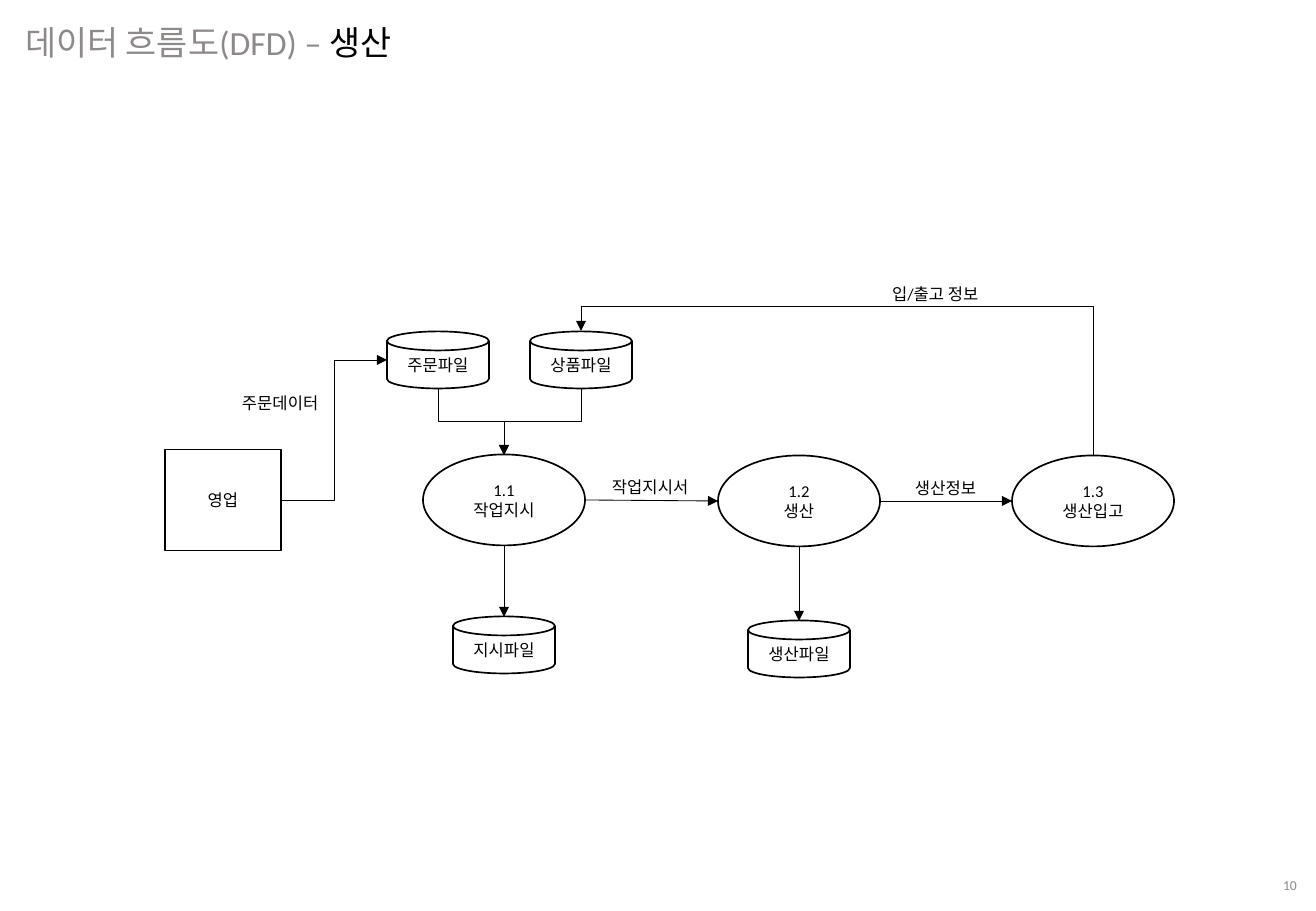
from pptx import Presentation
from pptx.dml.color import RGBColor
from pptx.enum.shapes import MSO_CONNECTOR as LINK, MSO_SHAPE as SHAPE
from pptx.enum.text import MSO_ANCHOR as ANCHOR, MSO_AUTO_SIZE as AUTO, PP_ALIGN as ALIGN
from pptx.oxml.ns import qn
from pptx.util import Emu, Pt
from lxml.etree import SubElement

BLACK = RGBColor(0x00, 0x00, 0x00)
WHITE = RGBColor(0xFF, 0xFF, 0xFF)
TITLE_GREY = RGBColor(0x8E, 0x8A, 0x8A)
NUMBER_GREY = RGBColor(0x8C, 0x8C, 0x8C)
SCALE = 914400 / 121.5
TITLE_ONLY = 5


def px(length):
    return Emu(round(length * SCALE))


class FlowPage:
    font = "Calibri"
    text_size = 9.8
    inset = 12
    sizes = {
        SHAPE.RECTANGLE: (116, 101),
        SHAPE.OVAL: (162, 91),
        SHAPE.FLOWCHART_MAGNETIC_DISK: (102, 57),
    }

    def __init__(self, deck):
        self.page = deck.slides.add_slide(deck.slide_layouts[TITLE_ONLY])

    def set_text(self, frame, lines, size, align, left=0, right=0):
        """Fill a frame; each line is a list of (text, colour) spans."""
        frame.word_wrap = True
        frame.auto_size = AUTO.NONE
        frame.vertical_anchor = ANCHOR.MIDDLE
        frame.margin_left, frame.margin_right = px(left), px(right)
        frame.margin_top = frame.margin_bottom = 0
        for number, spans in enumerate(lines):
            para = frame.add_paragraph() if number else frame.paragraphs[0]
            para.alignment = align
            for text, colour in spans:
                span = para.add_run()
                span.text = text
                span.font.name = self.font
                span.font.size = Pt(size)
                span.font.color.rgb = colour

    def title(self, spans, left, top, width, height):
        box = self.page.shapes.title
        box.left, box.top, box.width, box.height = map(px, (left, top, width, height))
        self.set_text(box.text_frame, [spans], 20, ALIGN.LEFT, self.inset, self.inset)

    def label(self, text, left, top, width):
        box = self.page.shapes.add_textbox(*map(px, (left, top, width, 33)))
        self.set_text(box.text_frame, [[(text, BLACK)]], self.text_size, ALIGN.LEFT, self.inset)

    def page_number(self, text, left, top, width, height):
        box = self.page.shapes.add_textbox(*map(px, (left, top, width, height)))
        self.set_text(box.text_frame, [[(text, NUMBER_GREY)]], 8.1, ALIGN.RIGHT, right=self.inset)

    def node(self, kind, x, y, *lines):
        """Draw a node centred on x, y."""
        width, height = self.sizes[kind]
        box = self.page.shapes.add_shape(
            kind, px(x - width / 2), px(y - height / 2), px(width), px(height))
        box.shadow.inherit = False
        box.fill.solid()
        box.fill.fore_color.rgb = WHITE
        box.line.color.rgb = BLACK
        box.line.width = Pt(1)
        self.set_text(box.text_frame, [[(line, BLACK)] for line in lines],
                      self.text_size, ALIGN.CENTER)

    def arrow(self, start, end, kind=LINK.STRAIGHT):
        link = self.page.shapes.add_connector(kind, *map(px, start + end))
        link.line.color.rgb = BLACK
        link.line.width = Pt(0.5)
        properties = link.element.spPr
        SubElement(properties.find(qn("a:ln")), qn("a:tailEnd"), type="triangle")
        SubElement(properties, qn("a:effectLst"))
        return link

    def upright_elbow(self, start, end, bend):
        """Elbow arrow that leaves vertically and turns at height bend."""
        (x1, y1), (x2, y2) = start, end
        link = self.arrow(start, end, LINK.ELBOW)
        width, height = abs(y2 - y1), abs(x2 - x1)
        link.left, link.top = px((x1 + x2 - width) / 2), px((y1 + y2 - height) / 2)
        link.width, link.height = px(width), px(height)
        properties = link.element.spPr
        frame = properties.find(qn("a:xfrm"))
        frame.attrib.pop("flipH", None)
        frame.set("rot", str((90 if y2 > y1 else 270) * 60000))
        frame.set("flipV", "1" if (x2 > x1) == (y2 > y1) else "0")
        guides = properties.find(qn("a:prstGeom")).get_or_add_avLst()
        share = round((bend - y1) / (y2 - y1) * 100000)
        SubElement(guides, qn("a:gd"), name="adj1", fmla=f"val {share}")


def main():
    deck = Presentation()
    deck.slide_width, deck.slide_height = px(1316), px(911)
    flow = FlowPage(deck)
    flow.title([("데이터 흐름도(DFD) – ", TITLE_GREY), ("생산", BLACK)], 13, 15, 539, 54)

    flow.node(SHAPE.RECTANGLE, 223, 500, "영업")
    for x, y, name in [(438, 360, "주문파일"), (581, 360, "상품파일"),
                       (504, 645, "지시파일"), (799, 649, "생산파일")]:
        flow.node(SHAPE.FLOWCHART_MAGNETIC_DISK, x, y, name)
    for x, y, number, name in [(504, 500, "1.1", "작업지시"), (799, 501, "1.2", "생산"),
                               (1093, 501, "1.3", "생산입고")]:
        flow.node(SHAPE.OVAL, x, y, number, name)

    for start, end in [((504, 546), (504, 617)), ((799, 547), (799, 621)),
                       ((585, 500), (718, 501)), ((880, 501), (1012, 501))]:
        flow.arrow(start, end)
    flow.arrow((281, 500), (387, 360), LINK.ELBOW)
    for start, end, bend in [((438, 388), (504, 455), 421), ((581, 388), (504, 455), 421),
                             ((1093, 456), (581, 331), 306)]:
        flow.upright_elbow(start, end, bend)

    for text, left, top, width in [("주문데이터", 230, 386, 108), ("작업지시서", 600, 470, 108),
                                   ("생산정보", 903, 471, 91), ("입/출고 정보", 880, 277, 120)]:
        flow.label(text, left, top, width)
    flow.page_number("10", 1012, 861, 297, 49)
    deck.save("out.pptx")


if __name__ == "__main__":
    main()
